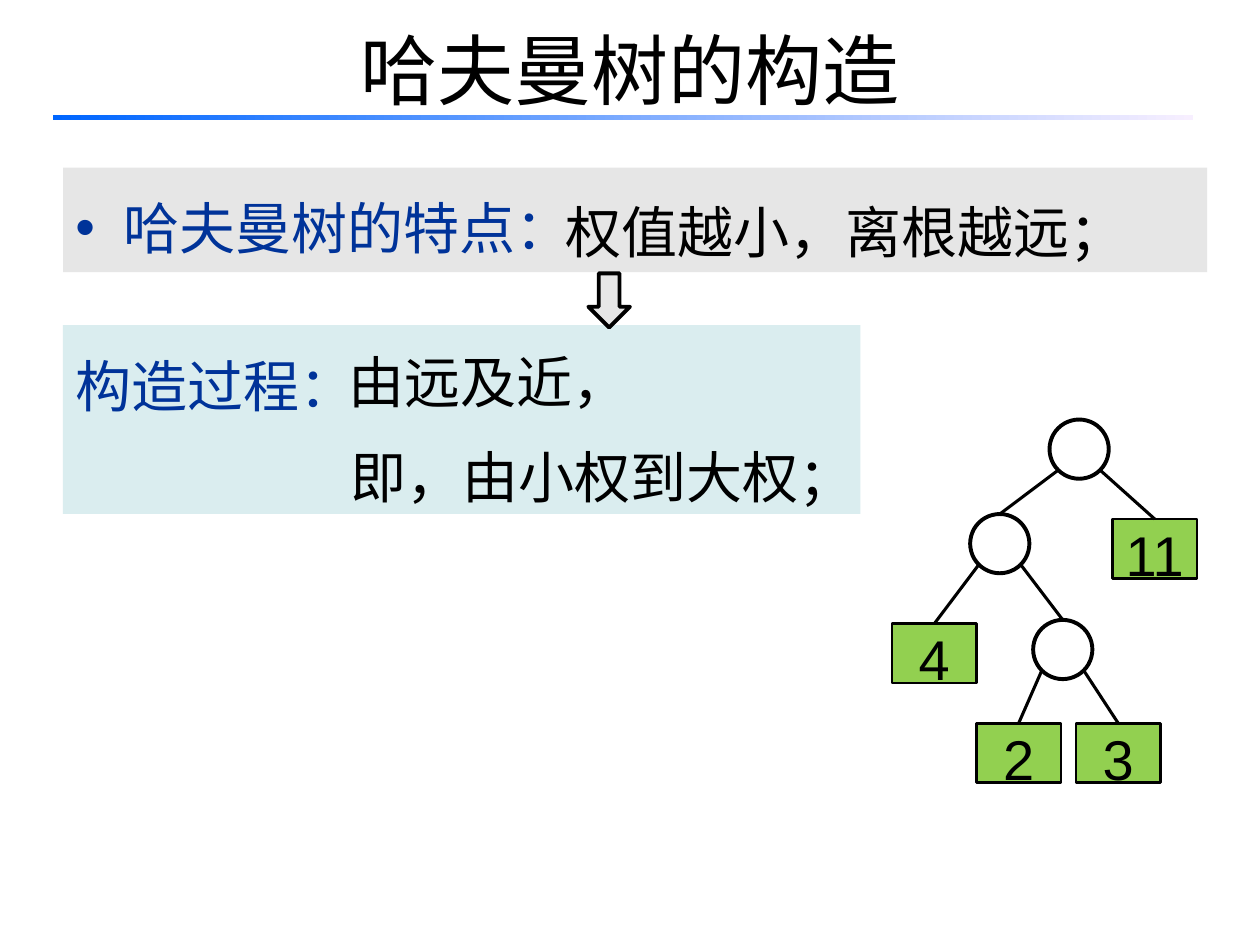
import pptx
import pptx.dml.color
import pptx.enum.shapes
import pptx.enum.text
import pptx.oxml
import pptx.oxml.ns
import pptx.util
import lxml.etree

Inches = pptx.util.Inches
Pt = pptx.util.Pt
SHAPE = pptx.enum.shapes.MSO_SHAPE
ALIGN = pptx.enum.text.PP_ALIGN
ANCHOR = pptx.enum.text.MSO_ANCHOR
qn = pptx.oxml.ns.qn


def rgb(value):
    return pptx.dml.color.RGBColor.from_string(value)


def write(tf, text, size=32, font="Arial", color="000000", align=ALIGN.LEFT,
          anchor=ANCHOR.TOP, spacing=1.0, top=0.05, wrap=True, bullet=None):
    tf.word_wrap = wrap
    tf.vertical_anchor = anchor
    tf.margin_top = Inches(top)
    p = tf.paragraphs[0]
    p.alignment = align
    p.line_spacing = spacing
    r = p.add_run()
    r.text = text
    r.font.size = Pt(size)
    r.font.name = font
    r.font.color.rgb = rgb(color)
    if bullet:
        pPr = p._p.get_or_add_pPr()
        pPr.set("marL", str(Inches(0.38)))
        pPr.set("indent", str(-Inches(0.38)))
        lxml.etree.SubElement(pPr, qn("a:buFont")).set("typeface", "Arial")
        lxml.etree.SubElement(pPr, qn("a:buChar")).set("char", bullet)


class Deck:
    ink = "000000"
    heading = "003399"
    leaf_fill = "92D050"
    node_size = 0.47
    leaf_width = 0.67

    def __init__(self):
        self.prs = pptx.Presentation()
        self.prs.slide_width = Inches(10)
        self.prs.slide_height = Inches(7.5)
        self.s = self.prs.slides.add_slide(self.prs.slide_layouts[6])

    def shape(self, kind, x, y, w, h, fill=None, line=None):
        sp = self.s.shapes.add_shape(kind, Inches(x), Inches(y), Inches(w), Inches(h))
        sp.shadow.inherit = False
        if fill:
            sp.fill.solid()
            sp.fill.fore_color.rgb = rgb(fill)
        else:
            sp.fill.background()
        if line:
            sp.line.color.rgb = rgb(self.ink)
            sp.line.width = Pt(line)
        else:
            sp.line.fill.background()
        return sp

    def text(self, text, x, y, w, h, **style):
        sp = self.s.shapes.add_textbox(Inches(x), Inches(y), Inches(w), Inches(h))
        write(sp.text_frame, text, **style)

    def panel(self, text, x, y, w, h, fill, **style):
        sp = self.shape(SHAPE.RECTANGLE, x, y, w, h, fill)
        write(sp.text_frame, text, color=self.heading, spacing=1.3, **style)

    def gradient_rule(self, x, y, w, h, start, end):
        sp = self.shape(SHAPE.RECTANGLE, x, y, w, h)
        sp.fill.gradient()
        sp.fill.gradient_angle = 0
        for stop, color in zip(sp.fill.gradient_stops, (start, end)):
            stop.color.rgb = rgb(color)

    def node(self, x, y):
        return self.shape(SHAPE.OVAL, x, y, self.node_size, self.node_size, line=2.25)

    def leaf(self, text, x, y):
        sp = self.shape(SHAPE.RECTANGLE, x, y, self.leaf_width, self.node_size,
                        self.leaf_fill, 1.5)
        write(sp.text_frame, text, align=ALIGN.CENTER, spacing=0.85, top=0.09)
        return sp

    def branch(self, parent, child, side):
        radius = parent.width / 2
        reach = radius * 0.5 ** 0.5
        x = int(parent.left + radius + side * reach)
        y = int(parent.top + radius + reach)
        line = self.s.shapes.add_connector(
            pptx.enum.shapes.MSO_CONNECTOR.STRAIGHT, x, y, x, y)
        line.end_connect(child, 0)
        line.line.color.rgb = rgb(self.ink)
        line.line.width = Pt(1.75)
        lxml.etree.SubElement(line._element.spPr, qn("a:effectLst"))

    def save(self):
        self.prs.save("out.pptx")


def main():
    deck = Deck()
    deck.text("哈夫曼树的构造", 0.5, -0.08, 9, 1.25, size=44, font="Noto Sans CJK SC",
              align=ALIGN.CENTER, anchor=ANCHOR.MIDDLE)
    deck.gradient_rule(0.42, 0.91, 9.05, 0.04, "0066FF", "F7EFFF")

    deck.panel("哈夫曼树的特点：", 0.5, 1.33, 9.08, 0.83, "E6E6E6", bullet="•")
    deck.panel("构造过程：", 0.5, 2.58, 6.33, 1.5, "DAEDEF")
    deck.shape(SHAPE.DOWN_ARROW, 4.67, 2.17, 0.33, 0.43, "E6E6E6", 2.25)
    deck.text("权值越小，离根越远；", 4.39, 1.36, 4.69, 0.72, spacing=1.3, wrap=False)
    deck.text("由远及近，", 2.67, 2.58, 2.45, 0.7, spacing=1.25, wrap=False)
    deck.text("即，由小权到大权；", 2.68, 3.33, 4.24, 0.7, spacing=1.25, wrap=False)

    root = deck.node(8.33, 3.33)
    left = deck.node(7.7, 4.08)
    inner = deck.node(8.2, 4.92)
    children = [
        (root, left, deck.leaf("11", 8.83, 4.12)),
        (left, deck.leaf("4", 7.08, 4.95), inner),
        (inner, deck.leaf("2", 7.75, 5.74), deck.leaf("3", 8.54, 5.74)),
    ]
    for parent, *pair in children:
        for side, child in zip((-1, 1), pair):
            deck.branch(parent, child, side)
    deck.save()


if __name__ == "__main__":
    main()
